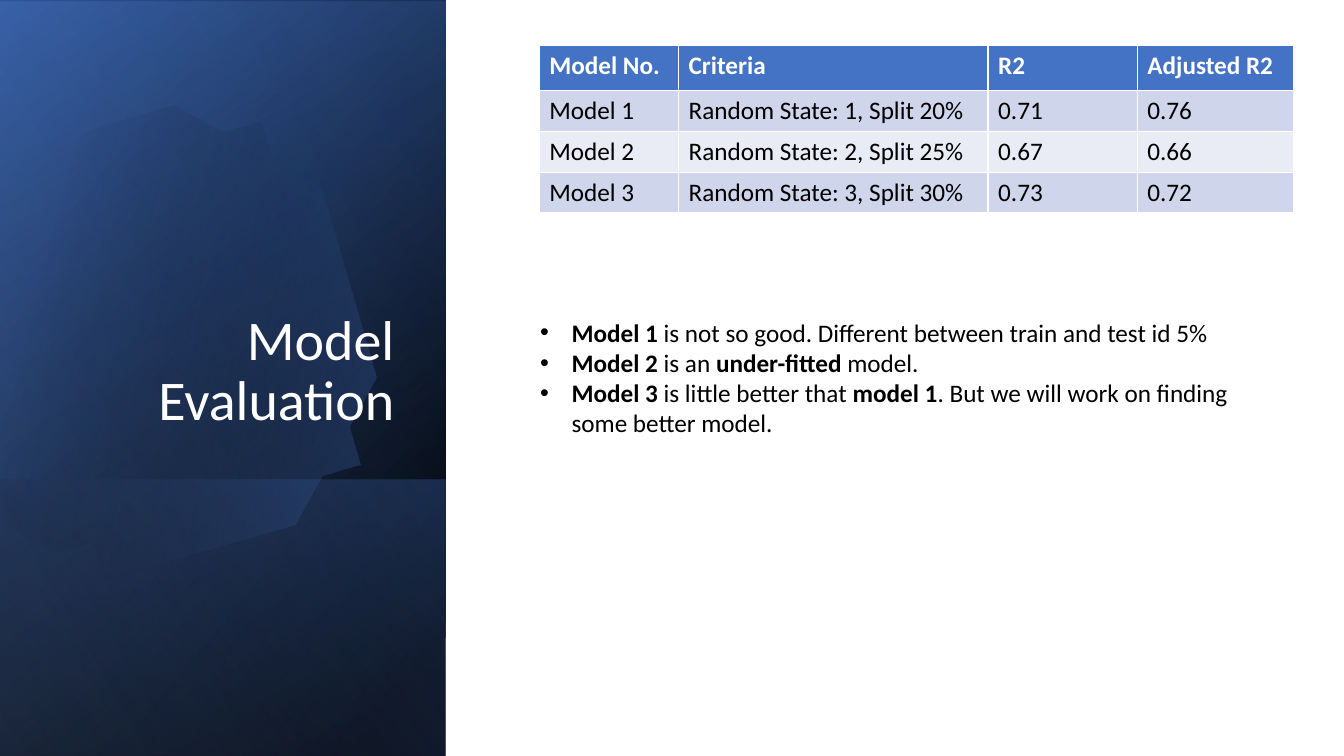
import math

from pptx import Presentation
from pptx.dml.color import RGBColor
from pptx.enum.shapes import MSO_SHAPE
from pptx.enum.text import MSO_ANCHOR, MSO_AUTO_SIZE, PP_ALIGN
from pptx.oxml import parse_xml
from pptx.oxml.ns import nsdecls, qn
from pptx.util import Cm, Pt

RECT = MSO_SHAPE.RECTANGLE
BOTTOM, MIDDLE = MSO_ANCHOR.BOTTOM, MSO_ANCHOR.MIDDLE
NO_FIT = MSO_AUTO_SIZE.NONE
RIGHT = PP_ALIGN.RIGHT

COLORS = {
    "white": "FFFFFF",
    "black": "000000",
    "navy": "2F5597",
    "blue": "4472C4",
    "sky": "8FAADC",
    "band": "CFD5EA",
    "pale": "E9EBF5",
}


def add_run(p, text, size=18, color="black", bold=False):
    r = p.add_run()
    r.text = text
    r.font.name = "Calibri"
    r.font.size = Pt(size)
    r.font.bold = bold
    r.font.color.rgb = RGBColor.from_string(COLORS[color])


def set_gradient(sp, stops, angle):
    sp.shadow.inherit = False
    sp.line.fill.background()
    sp.fill.gradient()
    gs = "".join(
        f'<a:gs pos="{pos * 1000}"><a:srgbClr val="{COLORS[color]}">'
        f'<a:alpha val="{alpha * 1000}"/></a:srgbClr></a:gs>'
        for pos, color, alpha in stops
    )
    grad = parse_xml(
        f'<a:gradFill {nsdecls("a")} rotWithShape="1"><a:gsLst>{gs}</a:gsLst>'
        f'<a:lin ang="{angle * 60000}" scaled="0"/></a:gradFill>'
    )
    spPr = sp.element.spPr
    spPr.replace(spPr.find(qn("a:gradFill")), grad)


prs = Presentation()
prs.slide_width, prs.slide_height = Cm(33.87), Cm(19.05)
s = prs.slides.add_slide(prs.slide_layouts[1])
title, body = s.placeholders

backdrop = s.shapes.add_shape(RECT, 0, 0, prs.slide_width, prs.slide_height)
backdrop.shadow.inherit = False
backdrop.fill.solid()
backdrop.fill.fore_color.rgb = RGBColor.from_string(COLORS["white"])
backdrop.line.fill.background()

panels = [
    ((-3.91, 3.91, 19.05, 11.23), [(8, "black", 100), (100, "navy", 100)], 50),
    ((-3.91, 3.94, 19.05, 11.23), [(0, "black", 0), (99, "blue", 46)], 30),
    ((2.13, 9.96, 6.96, 11.23), [(2, "blue", 29), (100, "black", 30)], 130),
    ((-3.91, 3.89, 19.05, 11.23), [(0, "black", 0), (99, "sky", 11)], 120),
]
for box, stops, angle in panels:
    sp = s.shapes.add_shape(RECT, *map(Cm, box))
    sp.rotation = 90
    sp.element.spPr.find(qn("a:xfrm")).set("flipH", "1")
    set_gradient(sp, stops, angle)
top_panel = sp

disc_start = 3.78 + 2.79j
disc_curves = [
    (6.25 + 2.84j, 8.51 + 4.5j, 9.22 + 6.99j),
    (10.11 + 10.08j, 8.33 + 13.28j, 5.26 + 14.17j),
    (3.33 + 14.73j, 1.35 + 14.25j, -0.08 + 13.06j),
    (-0.38 + 12.78j,),
    (-0.38 + 4.45j,),
    (4.09j,),
    (0.58 + 3.61j, 1.27 + 3.25j, 2.03 + 3.02j),
    (2.62 + 2.87j, 3.2 + 2.79j, disc_start),
]
points = [disc_start]
for curve in disc_curves:
    if len(curve) == 1:
        points.append(curve[0])
        continue
    a, (b, c, d) = points[-1], curve
    for step in range(1, 25):
        t = step / 24
        u = 1 - t
        points.append(u**3 * a + 3 * u * u * t * b + 3 * u * t * t * c + t**3 * d)

tilt = 16.1
center = 4.03 + 8.5j
turn = complex(math.cos(math.radians(tilt)), math.sin(math.radians(tilt)))
outline = [center + (z - center) * turn for z in points]
outline = [(z.real, z.imag) for z in outline]
fb = s.shapes.build_freeform(*outline[0], scale=Cm(1))
fb.add_line_segments(outline[1:], close=True)
disc = fb.convert_to_shape()
disc.rotation = 360 - tilt
set_gradient(disc, [(29, "black", 0), (100, "blue", 43)], 30)

for sp in (top_panel, title, body):
    s.shapes.element.append(sp.element)

title.left, title.top, title.width, title.height = map(Cm, (1.3, 1.63, 8.89, 9.4))
tf = title.text_frame
tf.auto_size = NO_FIT
tf.vertical_anchor = BOTTOM
p = tf.paragraphs[0]
p.alignment = RIGHT
p.line_spacing = 0.9
p.space_after = Pt(6)
add_run(p, "Model Evaluation", size=40, color="white")

body.left, body.top, body.width, body.height = map(Cm, (13.36, 1.8, 18.21, 15.42))
findings = [
    [("Model 1 ", True),
     ("is not so good. Different between train and test id 5%", False)],
    [("Model 2 ", True), ("is an ", False), ("under-fitted", True), (" model.", False)],
    [("Model 3 ", True), ("is little better that ", False), ("model 1", True),
     (". But we will work on finding some better model.", False)],
]
tf = body.text_frame
tf.auto_size = NO_FIT
tf.vertical_anchor = MIDDLE
for i, finding in enumerate(findings):
    p = tf.add_paragraph() if i else tf.paragraphs[0]
    p.space_before = Pt(0)
    pPr = p._p.get_or_add_pPr()
    pPr.set("marL", str(Cm(0.79)))
    pPr.set("indent", str(-Cm(0.79)))
    for text, bold in finding:
        add_run(p, text, bold=bold)

rows = [
    ("Model No.", "Criteria", "R2", "Adjusted R2"),
    ("Model 1", "Random State: 1, Split 20%", "0.71", "0.76"),
    ("Model 2", "Random State: 2, Split 25%", "0.67", "0.66"),
    ("Model 3", "Random State: 3, Split 30%", "0.73", "0.72"),
]
table = s.shapes.add_table(4, 4, Cm(13.59), Cm(1.14), Cm(19), Cm(4.22)).table
for col, width in zip(table.columns, (3.51, 7.8, 3.76, 3.94)):
    col.width = Cm(width)
for i, row in enumerate(rows):
    header = i == 0
    table.rows[i].height = Cm(1.14 if header else 1.03)
    fill = "blue" if header else "band" if i % 2 else "pale"
    for j, text in enumerate(row):
        cell = table.cell(i, j)
        cell.fill.solid()
        cell.fill.fore_color.rgb = RGBColor.from_string(COLORS[fill])
        add_run(cell.text_frame.paragraphs[0], text,
                color="white" if header else "black", bold=header)

prs.save("out.pptx")
